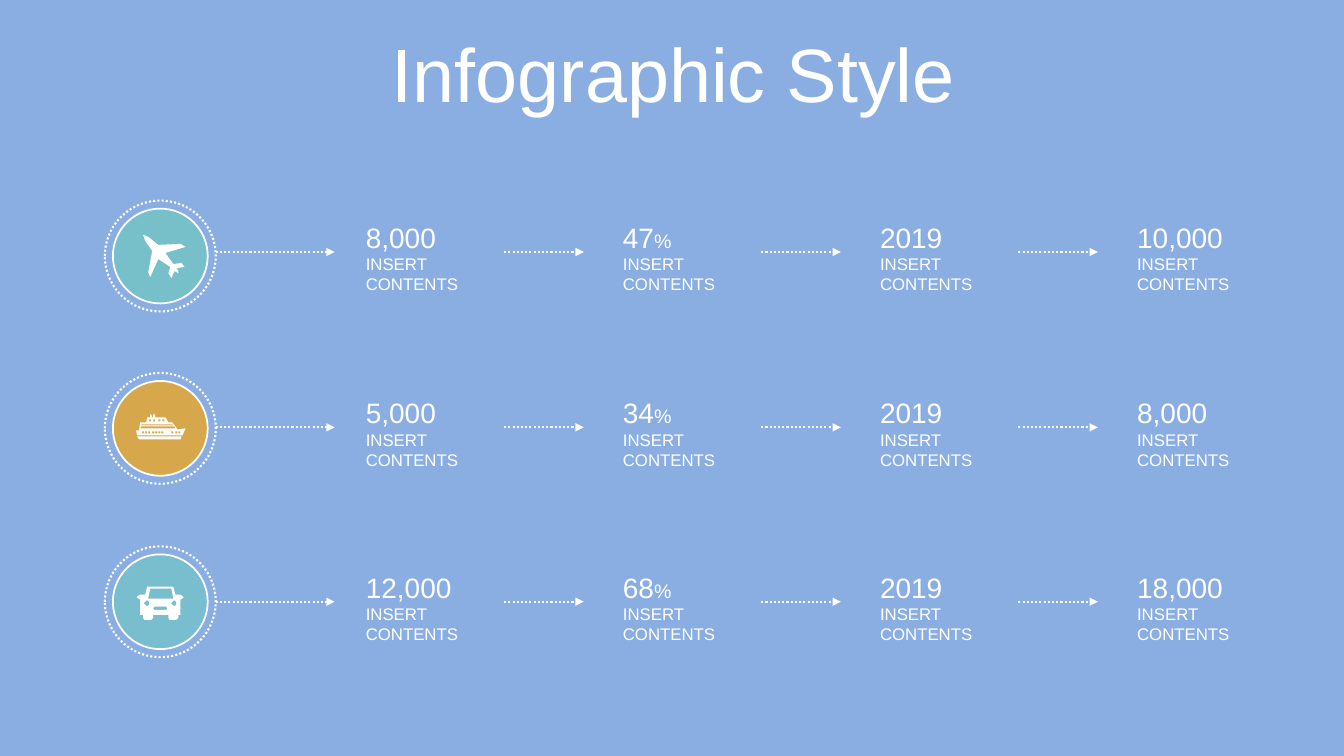
from pptx import Presentation
from pptx.dml.color import RGBColor
from pptx.enum.dml import MSO_LINE
from pptx.enum.shapes import MSO_CONNECTOR, MSO_SHAPE
from pptx.enum.text import MSO_ANCHOR, MSO_AUTO_SIZE, PP_ALIGN
from pptx.oxml.ns import qn
from pptx.util import Pt
from lxml.etree import SubElement

PX = 9144  # 100 px to the inch
WHITE = "FFFFFF"


def color(hex_code):
    return RGBColor.from_string(hex_code)


def add_text(left, top, height, anchor, lines, size):
    """Add a left-aligned text box; each line is a list of (text, size) runs."""
    box = slide.shapes.add_textbox(left * PX, top * PX, 117 * PX, height * PX)
    frame = box.text_frame
    frame.word_wrap = True
    frame.auto_size = MSO_AUTO_SIZE.SHAPE_TO_FIT_TEXT
    frame.vertical_anchor = anchor
    for index, runs in enumerate(lines):
        para = frame.paragraphs[0] if index == 0 else frame.add_paragraph()
        para.font.name = "Arial"
        para.font.size = Pt(size)
        para.font.color.rgb = color(WHITE)
        for text, run_size in runs:
            span = para.add_run()
            span.text = text
            if run_size != size:
                span.font.size = Pt(run_size)


# Icon outlines, in px on the slide; inner contours are holes
plane = [
    [(183, 265), (175, 266), (177, 269), (177, 271), (173, 269), (170, 276),
     (167, 271), (169, 265), (157, 257), (149, 275), (147, 270), (151, 249),
     (144, 239), (142, 233), (147, 235), (157, 243), (179, 242), (184, 245),
     (164, 251), (172, 262), (180, 261)],
]

ship = [
    [(136, 433), (180, 433), (179, 436), (138, 436)],
    [(152, 411), (154, 411), (154, 414), (164, 414), (167, 419), (171, 419),
     (176, 426), (184, 425), (181, 432), (136, 432), (135, 427), (138, 427),
     (139, 419), (145, 419), (146, 414), (149, 414), (149, 411), (150, 411),
     (151, 414), (152, 414)],
    [(140, 423), (139, 425), (174, 425), (173, 423)],
    [(140, 421), (140, 422), (172, 422), (171, 421)],
]
window_rows = [(428, (141, 144, 147, 151, 154, 157, 160, 170, 174, 177)),
               (416, (148, 152, 157, 161))]
for y, lefts in window_rows:
    ship += [[(x, y), (x, y + 2), (x + 2, y + 2), (x + 2, y)] for x in lefts]

car = [
    [(146, 582), (172, 582), (174, 590), (179, 590), (182, 592), (182, 593),
     (179, 595), (179, 610), (177, 610), (177, 613), (175, 615), (168, 615),
     (167, 613), (167, 610), (152, 610), (152, 613), (150, 615), (143, 615),
     (142, 613), (142, 610), (139, 610), (139, 595), (136, 593), (136, 592),
     (139, 590), (144, 590)],
    [(149, 584), (147, 594), (172, 594), (170, 584)],
    [(153, 602), (152, 604), (153, 605), (165, 605), (166, 604), (165, 602)],
]
for x in (143, 170):
    car.append([(x + 2, 596), (x + 4, 596), (x + 5, 598), (x + 5, 599),
                (x + 4, 601), (x + 2, 601), (x, 599), (x, 598)])

# Arrow height, ring top, disc fill, opacity in percent, icon, values
rows = [
    (250, 199, "6FC9C1", 70, plane, ("8,000", "47%", "2019", "10,000")),
    (424, 370, "F7A60B", 70, ship, ("5,000", "34%", "2019", "8,000")),
    (597, 542, "6FC9C1", 60, car, ("12,000", "68%", "2019", "18,000")),
]

# Deck, page and background
deck = Presentation()
deck.slide_width = 1333 * PX
deck.slide_height = 750 * PX
slide = deck.slides.add_slide(deck.slide_layouts[5])
slide.background.fill.solid()
slide.background.fill.fore_color.rgb = color("8AAEE2")

# Title
title = slide.shapes.title
title.left, title.top, title.width, title.height = 35 * PX, 31 * PX, 1266 * PX, 92 * PX
title.text_frame.text = "Infographic Style"
title.text_frame.vertical_anchor = MSO_ANCHOR.MIDDLE
title.text_frame.auto_size = MSO_AUTO_SIZE.NONE
para = title.text_frame.paragraphs[0]
para.alignment = PP_ALIGN.CENTER
para.line_spacing = 0.9
para.font.name = "Arial"
para.font.size = Pt(54)
para.font.color.rgb = color(WHITE)

for arrow_y, ring_top, fill, opacity, icon, values in rows:
    # Disc inside a dotted ring
    for inset, line_width in ((8, 1.25), (0, 1.5)):
        diameter = (110 - 2 * inset) * PX
        circle = slide.shapes.add_shape(
            MSO_SHAPE.OVAL, (104 + inset) * PX, (ring_top + inset) * PX, diameter, diameter)
        circle.shadow.inherit = False
        circle.line.color.rgb = color(WHITE)
        circle.line.width = Pt(line_width)
        if inset:
            circle.fill.solid()
            circle.fill.fore_color.rgb = color(fill)
            paint = circle.fill._xPr.find(qn("a:solidFill"))[0]
            SubElement(paint, qn("a:alpha")).set("val", str(opacity * 1000))
        else:
            circle.fill.background()
            circle.line.dash_style = MSO_LINE.ROUND_DOT

    # Icon
    builder = slide.shapes.build_freeform(*icon[0][0], scale=PX)
    for contour in icon:
        builder.move_to(*contour[0])
        builder.add_line_segments(contour[1:], close=True)
    symbol = builder.convert_to_shape()
    symbol.shadow.inherit = False
    symbol.fill.solid()
    symbol.fill.fore_color.rgb = color(WHITE)
    symbol.line.fill.background()

    # Arrow, value and label of each column
    for column, value in enumerate(values):
        left = 353 + 255 * column
        start, end = (left - 108, left - 29) if column else (214, 332)
        y = arrow_y * PX
        arrow = slide.shapes.add_connector(
            MSO_CONNECTOR.STRAIGHT, start * PX, y, end * PX, y)
        arrow.line.color.rgb = color(WHITE)
        arrow.line.width = Pt(1.5)
        arrow.line.dash_style = MSO_LINE.ROUND_DOT
        SubElement(arrow.line._get_or_add_ln(), qn("a:tailEnd")).set("type", "triangle")
        SubElement(arrow._element.spPr, qn("a:effectLst"))

        runs = [(value.rstrip("%"), 20)]
        if value.endswith("%"):
            runs.append(("%", 14))
        add_text(left, arrow_y - 37, 44, MSO_ANCHOR.BOTTOM, [runs], 20)
        add_text(left, arrow_y - 3, 50, MSO_ANCHOR.TOP,
                 [[("INSERT", 12)], [("CONTENTS", 12)]], 12)

deck.save("out.pptx")
